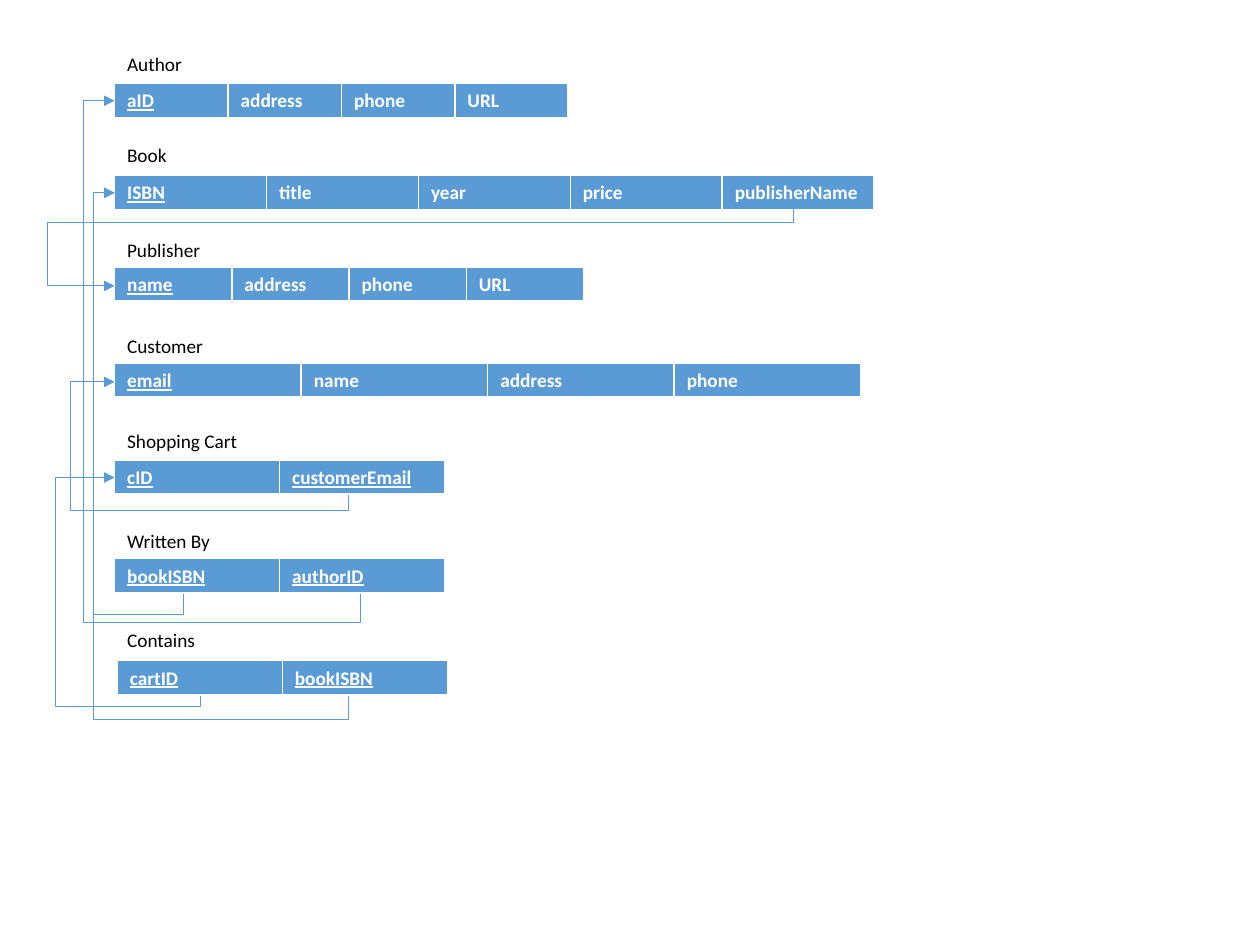
"""Relational schema of a bookshop with its foreign key arrows."""
import pptx
import pptx.dml.color
import pptx.enum.shapes
import pptx.enum.text
import pptx.oxml
import pptx.oxml.ns
import pptx.util

Pt = pptx.util.Pt
BLUE = pptx.dml.color.RGBColor(0x5B, 0x9B, 0xD5)
WHITE = pptx.dml.color.RGBColor(0xFF, 0xFF, 0xFF)
BLACK = pptx.dml.color.RGBColor(0, 0, 0)
LEFT = 65.5
ROW_HEIGHT = 20.16
LABEL_SIZE = (85.7, 20.6)
BORDERS = {"lnL": 1, "lnR": 1, "lnT": 1, "lnB": 3}
STRAIGHT = pptx.enum.shapes.MSO_CONNECTOR.STRAIGHT
ELBOW = pptx.enum.shapes.MSO_CONNECTOR.ELBOW

RELATIONS = [
    ("Author", 26.6, (LEFT, 47.5), 64.8, 1, ["aID", "address", "phone", "URL"]),
    ("Book", 78.5, (LEFT, 100.1), 86.8, 1,
     ["ISBN", "title", "year", "price", "publisherName"]),
    ("Publisher", 132.5, (LEFT, 152.6), 67, 1, ["name", "address", "phone", "URL"]),
    ("Customer", 187.2, (LEFT, 207.4), 106.6, 1, ["email", "name", "address", "phone"]),
    ("Shopping Cart", 241.9, (LEFT, 262.8), 94.3, 2, ["cID", "customerEmail"]),
    ("Written By", 298.8, (LEFT, 319), 94.3, 2, ["bookISBN", "authorID"]),
    ("Contains", 355.7, (67, 377.3), 94.3, 2, ["cartID", "bookISBN"]),
]
DROPPED_KEYS = [
    ((199.4, 397.5), 110.2, 53.4, 411.2),
    ((104.8, 339.5), 110.2, 53.4, 351.2),
    ((206, 339.5), 57.6, 47.6, 355.8),
    ((114.5, 397.5), 272.9, 31.7, 403.9),
]
SIDE_KEYS = [
    ((199.4, 291.6), 218.2, 40.2, 283),
    ((453.4, 127.4), 163.4, 27, 110.2),
]


def write(frame, text, **formats):
    """Write one formatted span into a text frame."""
    span = frame.paragraphs[0].add_run()
    span.text = text
    span.font.color.rgb = formats.pop("color")
    for name, value in {"name": "Calibri", "size": Pt(11), **formats}.items():
        setattr(span.font, name, value)


def add_border(cell, tag, width):
    """Draw one white side of a cell."""
    properties = cell._tc.get_or_add_tcPr()
    border = pptx.oxml.parse_xml(
        f'<a:{tag} {pptx.oxml.ns.nsdecls("a")} w="{Pt(width)}"><a:solidFill>'
        f'<a:srgbClr val="{WHITE}"/></a:solidFill></a:{tag}>')
    properties.append(border)


def add_label(page, left, top, text):
    """Place a relation name."""
    box = page.shapes.add_textbox(Pt(left), Pt(top), *map(Pt, LABEL_SIZE))
    box.text_frame.word_wrap = True
    box.text_frame.auto_size = pptx.enum.text.MSO_AUTO_SIZE.SHAPE_TO_FIT_TEXT
    write(box.text_frame, text, color=BLACK)


def add_relation(page, title, title_top, corner, column_width, key_count, fields):
    """Place a relation name and its row of fields, keys underlined."""
    table = page.shapes.add_table(
        1, len(fields), *map(Pt, corner), Pt(column_width * len(fields)),
        Pt(ROW_HEIGHT)).table
    for index, field in enumerate(fields):
        table.columns[index].width = Pt(column_width)
        cell = table.cell(0, index)
        for tag, width in BORDERS.items():
            add_border(cell, tag, width)
        cell.fill.solid()
        cell.fill.fore_color.rgb = BLUE
        write(cell.text_frame, field, color=WHITE, bold=True,
              underline=index < key_count)
    add_label(page, LEFT, title_top, title)


def add_line(page, kind, begin, end):
    """Draw a thin blue connector without shadow."""
    line = page.shapes.add_connector(kind, *map(Pt, begin), *map(Pt, end))
    line.line.color.rgb = BLUE
    line.line.width = Pt(0.5)
    pptx.oxml.ns.qn("a:effectLst")
    line._element.spPr.append(
        pptx.oxml.parse_xml(f'<a:effectLst {pptx.oxml.ns.nsdecls("a")}/>'))
    return line


def add_arrow(page, begin, end, preset, degrees, adjustments):
    """Draw a turned elbow connector with an arrowhead."""
    line = add_line(page, ELBOW, begin, end)
    properties = line._element.spPr
    properties.xfrm.set("rot", str(degrees * 60000))
    geometry = properties.find(pptx.oxml.ns.qn("a:prstGeom"))
    geometry.set("prst", preset)
    for old in list(geometry):
        geometry.remove(old)
    guides = "".join(f'<a:gd name="adj{number}" fmla="val {round(value * 100000)}"/>'
                     for number, value in enumerate(adjustments, 1))
    namespace = pptx.oxml.ns.nsdecls("a")
    geometry.append(pptx.oxml.parse_xml(f"<a:avLst {namespace}>{guides}</a:avLst>"))
    properties.find(pptx.oxml.ns.qn("a:ln")).append(
        pptx.oxml.parse_xml(f'<a:tailEnd {namespace} type="triangle"/>'))


def add_dropped_key(page, start, target, lane, floor):
    """Lead a key down to a floor, left to a lane and up to its target row."""
    across, rise = start[0] - LEFT, start[1] - target
    middle_x, middle_y = (start[0] + LEFT) / 2, (start[1] + target) / 2
    begin = (middle_x - rise / 2, middle_y + across / 2)
    end = (middle_x + rise / 2, middle_y - across / 2)
    add_arrow(page, begin, end, "bentConnector4", 270,
              [(start[1] - floor) / rise, (start[0] - lane) / across])


def add_side_key(page, start, target, lane, stub_top):
    """Lead a key left to a lane and to its target row, with a stub upwards."""
    add_arrow(page, (LEFT, target), start, "bentConnector3", 180,
              [(start[0] - lane) / (start[0] - LEFT)])
    add_line(page, STRAIGHT, start, (start[0], stub_top))


def build():
    """Build the schema page and save the deck."""
    deck = pptx.Presentation()
    deck.slide_width, deck.slide_height = Pt(720), Pt(540)
    page = deck.slides.add_slide(deck.slide_layouts[6])
    for relation in RELATIONS:
        add_relation(page, *relation)
    for key in DROPPED_KEYS:
        add_dropped_key(page, *key)
    for key in SIDE_KEYS:
        add_side_key(page, *key)
    deck.save("out.pptx")


build()
